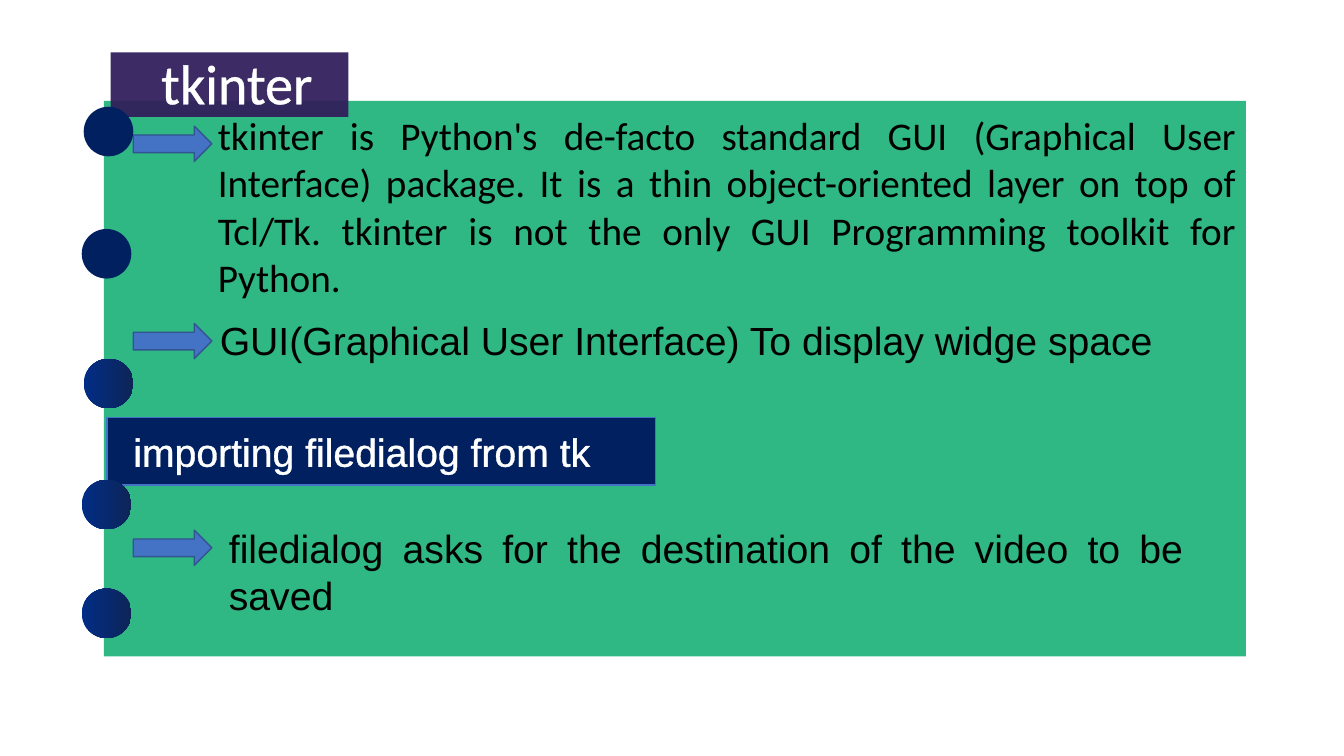
import pptx
import pptx.dml.color
import pptx.enum.shapes
import pptx.enum.text
import pptx.oxml
import pptx.oxml.ns
import pptx.util
from pptx.util import Cm

SHAPES = pptx.enum.shapes.MSO_SHAPE
ALIGN = pptx.enum.text.PP_ALIGN
NAVY, WHITE, BLACK = "002060", "FFFFFF", "000000"
ARROW_BLUE = "4472C4"


def color(hex_string):
    return pptx.dml.color.RGBColor.from_string(hex_string)


def add_block(slide, kind, box, fill, line=None, opacity=None):
    """Add a preset shape; a fill of two colours becomes a gradient."""
    shape = slide.shapes.add_shape(kind, *[Cm(length) for length in box])
    shape.shadow.inherit = False
    if isinstance(fill, tuple):
        shape.fill.gradient()
        shape.fill.gradient_angle = 0
        for stop, stop_color in zip(shape.fill.gradient_stops, fill):
            stop.color.rgb = color(stop_color)
    else:
        shape.fill.solid()
        shape.fill.fore_color.rgb = color(fill)
    if opacity:
        color_node = shape.element.spPr.find(".//" + pptx.oxml.ns.qn("a:srgbClr"))
        alpha = pptx.oxml.parse_xml(
            f'<a:alpha {pptx.oxml.ns.nsdecls("a")} val="{opacity * 1000}"/>')
        color_node.append(alpha)
    if line:
        shape.line.color.rgb = color(line)
        shape.line.width = pptx.util.Pt(1)
    else:
        shape.line.fill.background()
    return shape


def write(shape, text, font, size, text_color, align=ALIGN.LEFT, outline=None):
    """Write one run of text, optionally with an outline of its own colour."""
    frame = shape.text_frame
    frame.word_wrap = True
    frame.auto_size = pptx.enum.text.MSO_AUTO_SIZE.NONE
    frame.vertical_anchor = pptx.enum.text.MSO_ANCHOR.TOP
    paragraph = frame.paragraphs[0]
    paragraph.alignment = align
    run = paragraph.add_run()
    run.text = text
    run.font.name = font
    run.font.size = pptx.util.Pt(size)
    run.font.color.rgb = color(text_color)
    if outline:
        run.font._element.insert(0, pptx.oxml.parse_xml(
            f'<a:ln {pptx.oxml.ns.nsdecls("a")} w="{int(pptx.util.Pt(outline))}">'
            f'<a:solidFill><a:srgbClr val="{text_color}"/></a:solidFill></a:ln>'))


def add_text(slide, box, *args, **options):
    write(slide.shapes.add_textbox(*[Cm(length) for length in box]), *args, **options)


def add_heading(slide, left, top, width, height):
    """Purple tag with the slide title on it."""
    add_block(slide, SHAPES.RECTANGLE, (left, top, width, height), "32205C", opacity=95)
    title = slide.shapes.title
    title.left, title.top = Cm(left - 0.1), Cm(top - 0.23)
    title.width, title.height = Cm(width), Cm(height + 0.33)
    title.element.getparent().append(title.element)  # bring in front of the tag
    write(title, "tkinter", "Calibri", 40, WHITE, outline=1)
    title.text_frame.margin_left = Cm(1.37)


def add_band(slide, left, top, width, height):
    """Navy subheading band."""
    add_block(slide, SHAPES.RECTANGLE, (left, top, width, height), NAVY, ARROW_BLUE)
    add_text(slide, (left + 0.41, top + 0.13, width - 0.41, height - 0.25),
             "importing filedialog from tk", "Arial", 28, WHITE, outline=0.75)


def add_points(slide, left, top):
    """Arrows, each with its paragraph: arrow top, text box, font, text."""
    points = [
        (0.64, (2.62, 0.15, 26.16, 6.25), "Calibri",
         "tkinter is Python's de-facto standard GUI (Graphical User Interface) "
         "package. It is a thin object-oriented layer on top of Tcl/Tk. tkinter is "
         "not the only GUI Programming toolkit for Python."),
        (5.61, (2.67, 5.31, 25.91, 1.45), "Arial",
         "GUI(Graphical User Interface) To display widge space"),
        (10.82, (2.9, 10.54, 24.54, 2.64), "Arial",
         "filedialog asks for the destination of the video to be saved"),
    ]
    for arrow_top, (x, y, width, height), font, text in points:
        add_text(slide, (left + x, top + y, width, height), text, font, 28, BLACK,
                 align=ALIGN.JUSTIFY)
        add_block(slide, SHAPES.RIGHT_ARROW, (left + 0.74, top + arrow_top, 1.98, 0.89),
                  ARROW_BLUE, "325491")


def add_edge_dots(slide, left, top):
    """Dots down the left edge of the card."""
    gradient = ("012D86", "0E2557")
    dots = [(-0.51, 0.15, NAVY), (-0.56, 3.23, NAVY), (-0.51, 6.5, gradient),
            (-0.56, 9.55, gradient), (-0.56, 12.29, gradient)]
    for x, y, fill in dots:
        add_block(slide, SHAPES.OVAL, (left + x, top + y, 1.25, 1.25), fill)


def add_card(slide, left, top, width, height):
    """Green card with its heading, points, band and dots."""
    add_block(slide, SHAPES.RECTANGLE, (left, top, width, height), "20B37A", opacity=93)
    add_heading(slide, left + 0.17, top - 1.22, 5.99, 1.63)
    add_points(slide, left, top)
    add_band(slide, left + 0.08, top + 7.98, 13.82, 1.7)
    add_edge_dots(slide, left, top)


def main():
    presentation = pptx.Presentation()
    presentation.slide_width, presentation.slide_height = Cm(33.87), Cm(19.05)
    slide = presentation.slides.add_slide(presentation.slide_layouts[5])
    add_card(slide, 2.62, 2.54, 28.78, 14)
    presentation.save("out.pptx")


if __name__ == "__main__":
    main()
